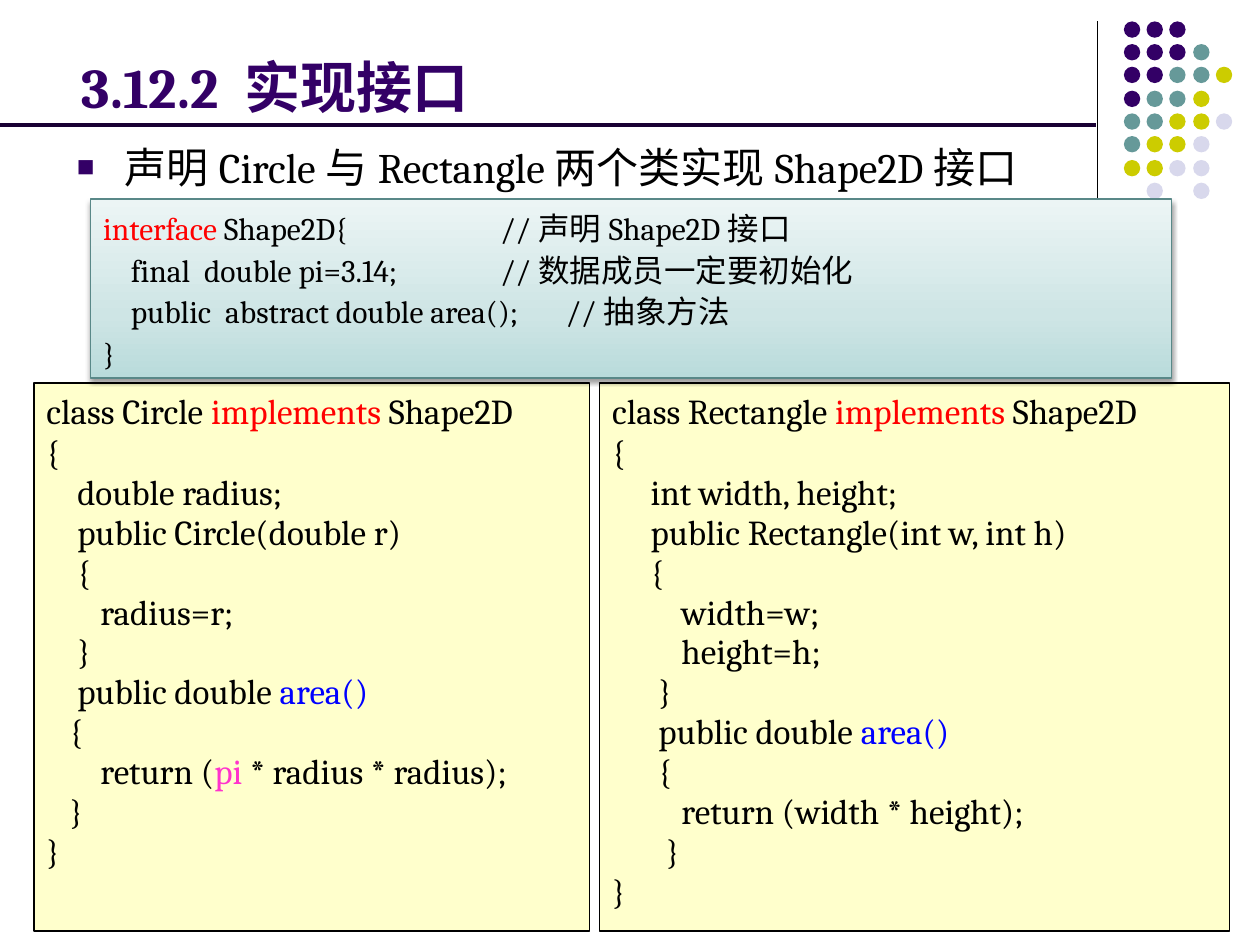
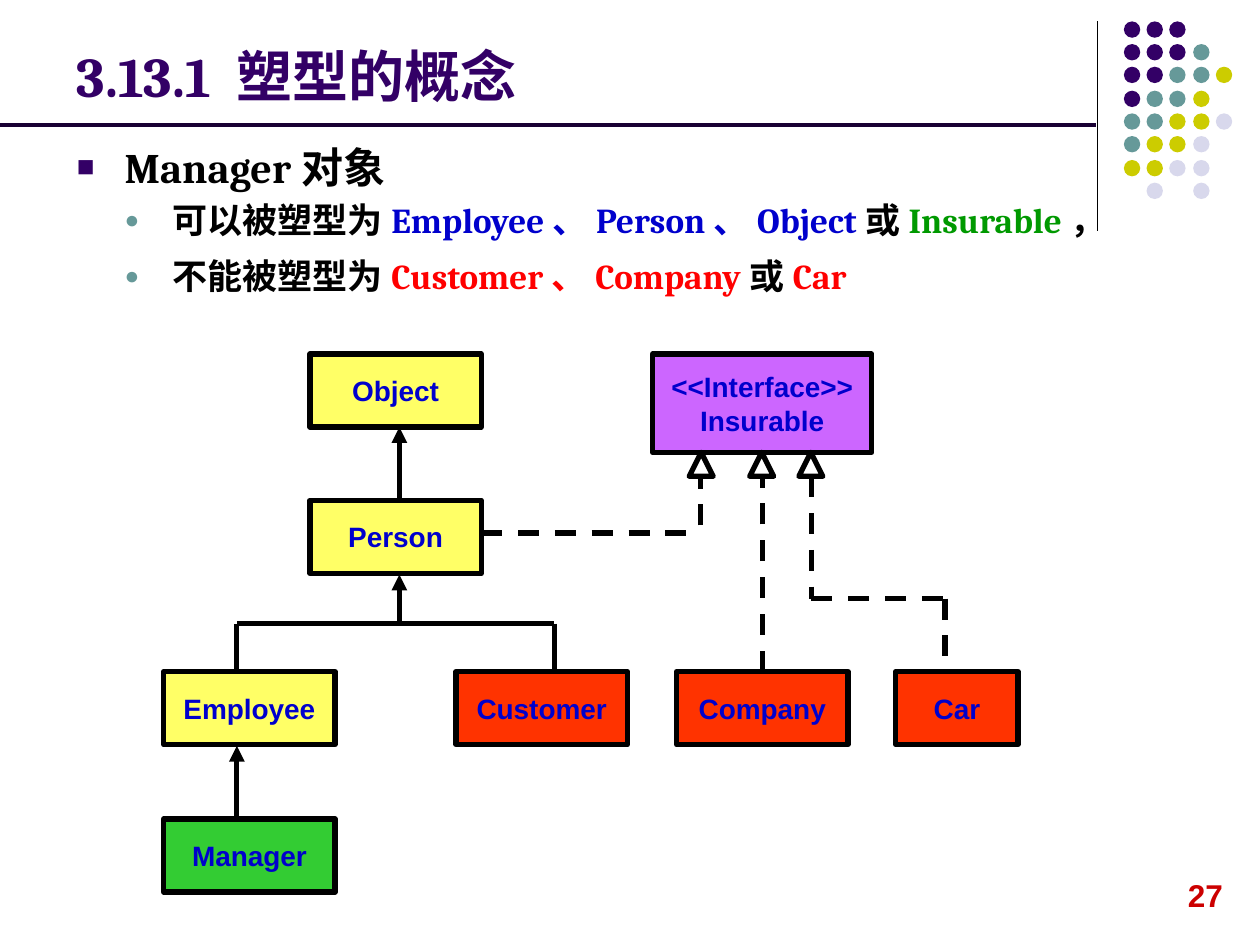
from copy import deepcopy

from lxml import etree
from pptx import Presentation
from pptx.dml.color import RGBColor
from pptx.enum.dml import MSO_LINE
from pptx.enum.shapes import MSO_CONNECTOR, MSO_SHAPE
from pptx.enum.text import MSO_ANCHOR, MSO_AUTO_SIZE, PP_ALIGN
from pptx.oxml.ns import qn
from pptx.util import Pt

PX = 9144  # one px is a hundredth of an inch
RECT, OVAL, PEAK = MSO_SHAPE.RECTANGLE, MSO_SHAPE.OVAL, MSO_SHAPE.ISOSCELES_TRIANGLE
LEFT, CENTER = PP_ALIGN.LEFT, PP_ALIGN.CENTER
TOP, MIDDLE, BOTTOM = MSO_ANCHOR.TOP, MSO_ANCHOR.MIDDLE, MSO_ANCHOR.BOTTOM
STRAIGHT, DASH, FIXED = MSO_CONNECTOR.STRAIGHT, MSO_LINE.DASH, MSO_AUTO_SIZE.NONE

BLACK = RGBColor(0x00, 0x00, 0x00)
WHITE = RGBColor(0xFF, 0xFF, 0xFF)
PURPLE = RGBColor(0x33, 0x00, 0x66)
PLUM = RGBColor(0x19, 0x00, 0x33)
TEAL = RGBColor(0x66, 0x99, 0x99)
OLIVE = RGBColor(0xCC, 0xCC, 0x00)
PALE = RGBColor(0xD8, 0xD8, 0xEC)
CREAM = RGBColor(0xFF, 0xFF, 0xCC)
EDGE = RGBColor(0x59, 0x88, 0x88)
RED = RGBColor(0xFF, 0x00, 0x00)
BLUE = RGBColor(0x00, 0x00, 0xFF)
NAVY = RGBColor(0x00, 0x00, 0xCC)
PINK = RGBColor(0xFF, 0x33, 0xCC)
GREEN = RGBColor(0x00, 0x99, 0x00)
LIME = RGBColor(0x33, 0xCC, 0x33)
YELLOW = RGBColor(0xFF, 0xFF, 0x66)
ORANGE = RGBColor(0xFF, 0x33, 0x00)
VIOLET = RGBColor(0xCC, 0x66, 0xFF)
CRIMSON = RGBColor(0xCC, 0x00, 0x00)
MIST = [(0, RGBColor(0xB9, 0xDB, 0xDB)), (0.35, RGBColor(0xCE, 0xE5, 0xE5)),
        (1, RGBColor(0xEC, 0xF5, 0xF5))]

DOTS = ["PPP", "PPPT", "PPTTY", "PTTY", "TTYYG", "TYYG", "YYGG", " G G"]
HUES = {"P": PURPLE, "T": TEAL, "Y": OLIVE, "G": PALE}
BULLETS = [("■", PURPLE, 24), ("●", TEAL, 20)]


def add(node, tag, **attrs):
    return etree.SubElement(node, qn(tag), attrs)


class Deck:
    serif, sans = "Cambria", "Arial"

    def __init__(self):
        self.prs = Presentation()
        self.prs.slide_width, self.prs.slide_height = 1000 * PX, 750 * PX

    def start(self, title, at):
        """Add a slide with the shared lines, dots and title."""
        self.slide = self.prs.slides.add_slide(self.prs.slide_layouts[1])
        self.shapes = self.slide.shapes
        self.line(871, 17, 871, 183, width=0.75)
        for row, marks in enumerate(DOTS):
            for col, mark in enumerate(marks):
                if mark in HUES:
                    self.shape(OVAL, (892 + col * 55 // 3, 17 + row * 55 // 3, 13, 13), HUES[mark])
        self.line(0, 99, 870, 99, PLUM, 2.25)
        head = self.shapes.title
        self.place(head, at)
        frame = self.frame(head, BOTTOM)
        self.fill(frame.paragraphs[0], [(title, PURPLE)], 32, bold=True)

    def place(self, item, at):
        item.left, item.top, item.width, item.height = (n * PX for n in at)

    def frame(self, item, anchor=TOP):
        frame = item.text_frame
        frame.auto_size, frame.word_wrap = FIXED, True
        frame.vertical_anchor = anchor
        return frame

    def fill(self, par, parts, size, font=serif, bold=False, align=LEFT):
        """Fill a paragraph with plain strings and (text, colour) pairs."""
        par.alignment = align
        for part in parts:
            text, color = (part, BLACK) if isinstance(part, str) else part
            run = par.add_run()
            run.text = text
            run.font.name, run.font.size, run.font.bold = font, Pt(size), bold
            run.font.color.rgb = color

    def paras(self, frame, count):
        return [frame.paragraphs[0]] + [frame.add_paragraph() for _ in range(count - 1)]

    def body(self, at, items, bold=False):
        """Fill the body placeholder with (level, space before, parts) items."""
        item = self.slide.placeholders[1]
        self.place(item, at)
        pars = self.paras(self.frame(item), len(items))
        for par, (level, gap, parts) in zip(pars, items):
            mark, color, size = BULLETS[level]
            par.level, par.space_before = level, Pt(gap)
            props = par._p.get_or_add_pPr()
            props.set("marL", str(38 * PX * (level + 1)))
            props.set("indent", str(-38 * PX))
            add(add(props, "a:buClr"), "a:srgbClr", val=str(color))
            add(props, "a:buSzPct", val="70000")
            add(props, "a:buFont", typeface=self.sans)
            add(props, "a:buChar", char=mark)
            self.fill(par, parts, size, bold=bold)

    def shape(self, kind, at, fill, edge=None, width=0.75):
        item = self.shapes.add_shape(kind, *(n * PX for n in at))
        item.shadow.inherit = False
        item.fill.solid()
        item.fill.fore_color.rgb = fill
        if edge is None:
            item.line.fill.background()
        else:
            item.line.color.rgb, item.line.width = edge, Pt(width)
        return item

    def code(self, at, lines, size, pitch, gap=0, first=1.0, edge=BLACK, tabs=()):
        """Add a box of code; tabs gives the comment column of each line."""
        item = self.shape(RECT, at, CREAM, edge)
        pars = self.paras(self.frame(item), len(lines))
        for row, (par, parts) in enumerate(zip(pars, lines)):
            par.line_spacing = pitch if row else first
            par.space_before = Pt(gap if row else 0)
            if row < len(tabs):
                stops = add(par._p.get_or_add_pPr(), "a:tabLst")
                add(stops, "a:tab", pos=str(tabs[row] * PX), algn="l")
            self.fill(par, parts, size)
        return item

    def shade(self, item, stops):
        """Give a shape an upward gradient and a soft shadow below."""
        item.fill.gradient()
        item.fill.gradient_angle = 90
        props = item.element.spPr
        marks = props.find(".//" + qn("a:gsLst"))
        marks.insert(1, deepcopy(marks[0]))
        for stop, (spot, color) in zip(item.fill.gradient_stops, stops):
            stop.position, stop.color.rgb = spot, color
        glow = add(props.find(qn("a:effectLst")), "a:outerShdw", blurRad=str(Pt(3.1)),
                   dist=str(Pt(1.6)), dir="5400000", rotWithShape="0")
        add(add(glow, "a:srgbClr", val=str(BLACK)), "a:alpha", val="38000")

    def node(self, at, names, fill):
        """Add a class box of the diagram."""
        item = self.shape(RECT, at, fill, BLACK, 3)
        frame = self.frame(item, MIDDLE)
        frame.margin_left = frame.margin_right = 0
        for par, name in zip(self.paras(frame, len(names)), names):
            self.fill(par, [(name, NAVY)], 16, self.sans, True, CENTER)

    def line(self, x1, y1, x2, y2, color=BLACK, width=3, dash=False, arrow=False):
        item = self.shapes.add_connector(STRAIGHT, x1 * PX, y1 * PX, x2 * PX, y2 * PX)
        item.line.color.rgb, item.line.width = color, Pt(width)
        if dash:
            item.line.dash_style = DASH
        props = item.element.spPr
        if arrow:
            add(props.find(qn("a:ln")), "a:tailEnd", type="triangle")
        add(props, "a:effectLst")

    def number(self, text):
        item = self.shapes.add_textbox(*(n * PX for n in (933, 690, 48, 40)))
        self.fill(self.frame(item).paragraphs[0], [(text, CRIMSON)], 18, self.sans, True)


def build_code(deck):
    deck.start("3.12.2 实现接口", (55, 21, 825, 79))
    deck.body((51, 107, 900, 51), [(0, 0, ["声明Circle与Rectangle两个类实现Shape2D接口"])])

    # Two classes side by side
    circle = [
        ["class Circle ", ("implements ", RED), "Shape2D"],
        ["{"],
        ["    double radius;"],
        ["    public Circle(double r)"],
        ["    {"],
        ["       radius=r;"],
        ["    }"],
        ["    public double ", ("area()", BLUE)],
        ["   {"],
        ["       return (", ("pi", PINK), " * radius * radius);"],
        ["   }"],
        ["}"],
    ]
    rectangle = [
        ["class Rectangle ", ("implements", RED), " Shape2D"],
        ["{"],
        ["     int width, height;"],
        ["     public Rectangle(int w, int h)"],
        ["     {"],
        ["         width=w;"],
        ["         height=h;"],
        ["      }"],
        ["      public double ", ("area()", BLUE)],
        ["      {"],
        ["         return (width * height);"],
        ["       }"],
        ["}"],
    ]
    for left, width, lines in ((27, 441, circle), (476, 500, rectangle)):
        deck.code((left, 304, width, 435), lines, 20, 0.7, gap=6)

    # Shared interface
    face = [
        [("interface ", RED), "Shape2D{\t//声明Shape2D接口"],
        ["    final  double pi=3.14;\t//数据成员一定要初始化"],
        ["    public  abstract double area();\t//抽象方法"],
        ["}"],
    ]
    box = deck.code((72, 158, 858, 142), face, 18, 1.1, first=1.1, edge=EDGE,
                    tabs=(315, 315, 367))
    deck.shade(box, MIST)


def build_tree(deck):
    deck.start("3.13.1 塑型的概念", (51, 21, 825, 70))
    deck.body((51, 107, 900, 161), [
        (0, 0, ["Manager对象"]),
        (1, 4, ["可以被塑型为", ("Employee、Person、Object", NAVY), "或",
                ("Insurable", GREEN), "，"]),
        (1, 8, ["不能被塑型为", ("Customer、Company", RED), "或", ("Car", RED)]),
    ], bold=True)
    deck.number("27")

    # Class boxes
    for left, top, width, name, fill in (
            (246, 281, 136, "Object", YELLOW), (246, 397, 136, "Person", YELLOW),
            (130, 533, 136, "Employee", YELLOW), (362, 533, 136, "Customer", ORANGE),
            (130, 650, 136, "Manager", LIME), (537, 533, 136, "Company", ORANGE),
            (711, 533, 97, "Car", ORANGE)):
        deck.node((left, top, width, 58), [name], fill)
    deck.node((518, 281, 174, 78), ["<<Interface>>", "Insurable"], VIOLET)

    # Inheritance
    for ends in ((317, 397, 317, 339), (317, 495, 317, 456), (188, 650, 188, 592)):
        deck.line(*ends, arrow=True)
    for ends in ((188, 495, 440, 495), (188, 495, 188, 533), (440, 495, 440, 533)):
        deck.line(*ends)

    # Interface links
    for left in (547, 595, 634):
        deck.shape(PEAK, (left, 359, 19, 19), WHITE, BLACK, 3)
    for ends in ((605, 533, 605, 378), (382, 423, 556, 423), (556, 417, 556, 378),
                 (644, 378, 644, 475), (644, 475, 750, 475), (750, 475, 750, 533)):
        deck.line(*ends, dash=True)


def main():
    deck = Deck()
    build_code(deck)
    build_tree(deck)
    deck.prs.save("out.pptx")


if __name__ == "__main__":
    main()
